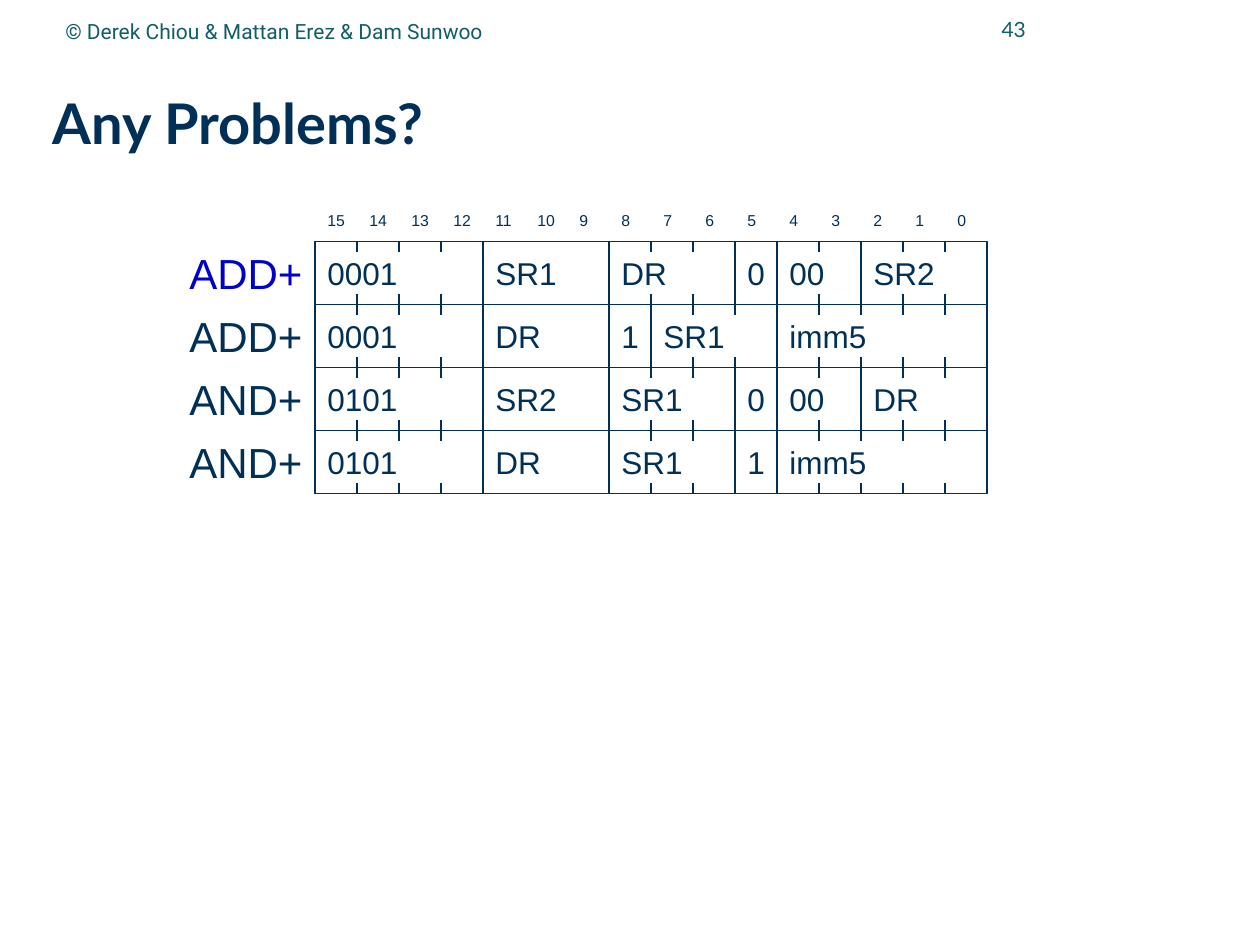
from pptx import Presentation
from pptx.dml.color import RGBColor
from pptx.enum.shapes import MSO_CONNECTOR, MSO_SHAPE
from pptx.enum.text import MSO_ANCHOR, PP_ALIGN
from pptx.oxml.ns import qn
from pptx.util import Inches, Pt
from lxml import etree

RECT, STRAIGHT = MSO_SHAPE.RECTANGLE, MSO_CONNECTOR.STRAIGHT
MIDDLE = MSO_ANCHOR.MIDDLE
LEFT, RIGHT = PP_ALIGN.LEFT, PP_ALIGN.RIGHT

# Content
TITLE = "Any Problems?"
COPYRIGHT = "© Derek Chiou & Mattan Erez & Dam Sunwoo"
PAGE = "43"
BITS = 16
# (mnemonic, colour, fields from bit 15 down as (text, width in bits))
INSTRUCTIONS = [
    ("ADD+", "accent", [("0001", 4), ("SR1", 3), ("DR", 3), ("0", 1), ("00", 2), ("SR2", 3)]),
    ("ADD+", "ink", [("0001", 4), ("DR", 3), ("1", 1), ("SR1", 3), ("imm5", 5)]),
    ("AND+", "ink", [("0101", 4), ("SR2", 3), ("SR1", 3), ("0", 1), ("00", 2), ("DR", 3)]),
    ("AND+", "ink", [("0101", 4), ("DR", 3), ("SR1", 3), ("1", 1), ("imm5", 5)]),
]
UNTICKED_START = 4  # the field in bits 11 to 9 carries no tick marks

THEME = {
    "ink": RGBColor.from_string("003057"),
    "accent": RGBColor.from_string("0000CC"),
    "teal": RGBColor.from_string("115E67"),
    "title": 32, "mnemonic": 24, "field": 18, "footer": 12, "bit": 9,
    "line": Pt(0.75),
}

# Grid, in inches
GRID_X, GRID_Y = 2.5, 23 / 12
BIT_W, ROW_H = 1 / 3, 0.5
TICK_H = 1 / 12
LABEL_W = 1


def write(sp, text, size, font="Arial", color="ink", bold=False, align=LEFT,
          wrap=False, spacing=None):
    tf = sp.text_frame
    tf.word_wrap = wrap
    tf.vertical_anchor = MIDDLE
    # Give tight labels the full width on their open side
    if align == RIGHT:
        tf.margin_left = 0
    else:
        tf.margin_right = 0
    p = tf.paragraphs[0]
    p.alignment = align
    if spacing:
        p.line_spacing = spacing
    r = p.add_run()
    r.text = text
    r.font.size = Pt(THEME[size])
    r.font.name = font
    r.font.bold = bold
    r.font.color.rgb = THEME[color]


def add_text(s, x, y, w, h, text, size, **fmt):
    box = s.shapes.add_textbox(Inches(x), Inches(y), Inches(w), Inches(h))
    write(box, text, size, **fmt)


def add_tick(group, x, y):
    tick = group.shapes.add_connector(STRAIGHT, Inches(x), Inches(y),
                                      Inches(x), Inches(y + TICK_H))
    tick.line.color.rgb = THEME["ink"]
    tick.line.width = THEME["line"]
    etree.SubElement(tick._element.spPr, qn("a:effectLst"))


def add_field(s, start, y, text, bits):
    x = GRID_X + start * BIT_W
    ticks = [] if start == UNTICKED_START else range(1, bits)
    parent = s.shapes.add_group_shape() if ticks else s
    sp = parent.shapes.add_shape(RECT, Inches(x), Inches(y),
                                 Inches(bits * BIT_W), Inches(ROW_H))
    sp.shadow.inherit = False
    sp.fill.background()
    sp.line.color.rgb = THEME["ink"]
    sp.line.width = THEME["line"]
    write(sp, text, "field")
    for i in ticks:
        for tick_y in (y, y + ROW_H - TICK_H):
            add_tick(parent, x + i * BIT_W, tick_y)


def main():
    prs = Presentation()
    prs.slide_width, prs.slide_height = Inches(10), Inches(7.5)
    s = prs.slides.add_slide(prs.slide_layouts[5])

    # Title
    title = s.shapes.title
    title.left, title.top = Inches(0.42), Inches(0.5)
    title.width, title.height = Inches(9.41), Inches(0.98)
    tf = title.text_frame
    tf.margin_left = tf.margin_right = tf.margin_top = tf.margin_bottom = 0
    write(title, TITLE, "title", font="Lato", bold=True, wrap=True, spacing=0.99)

    # Page number and copyright
    add_text(s, 7.33, -0.02, 0.91, 0.5, PAGE, "footer", font="Lato",
             color="teal", align=RIGHT, wrap=True)
    add_text(s, 0.42, 0.02, 5.67, 0.46, COPYRIGHT, "footer", font="Roboto",
             color="teal", wrap=True)

    # Bit numbers
    for i in range(BITS):
        add_text(s, GRID_X + i * BIT_W, GRID_Y - BIT_W, BIT_W, BIT_W,
                 str(BITS - 1 - i), "bit")

    # Instruction formats
    for row, (mnemonic, color, fields) in enumerate(INSTRUCTIONS):
        y = GRID_Y + row * ROW_H
        add_text(s, GRID_X - LABEL_W, y, LABEL_W, ROW_H, mnemonic, "mnemonic",
                 color=color, align=RIGHT)
        start = 0
        for text, bits in fields:
            add_field(s, start, y, text, bits)
            start += bits

    prs.save("out.pptx")


if __name__ == "__main__":
    main()
